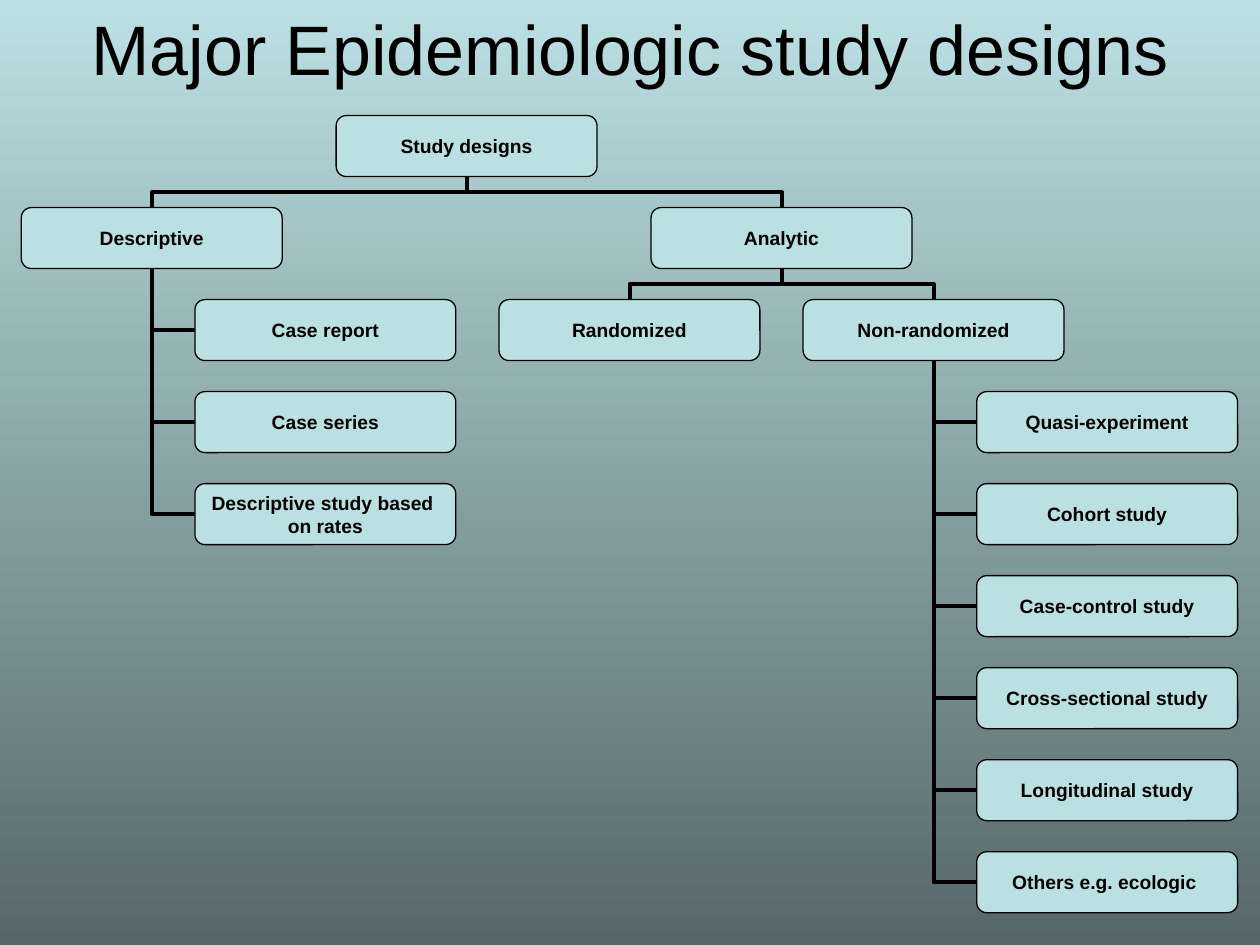
from dataclasses import dataclass

from lxml.etree import SubElement
from pptx import Presentation
from pptx.dml.color import RGBColor
from pptx.enum.shapes import MSO_CONNECTOR, MSO_SHAPE
from pptx.enum.text import MSO_ANCHOR, MSO_AUTO_SIZE, PP_ALIGN
from pptx.oxml.ns import qn
from pptx.util import Cm, Pt

TITLE = "Major Epidemiologic study designs"
TREE = ("Study designs", "fork", [
    ("Descriptive", "hang", [
        ("Case report", "leaf", []),
        ("Case series", "leaf", []),
        ("Descriptive study based \non rates", "leaf", []),
    ]),
    ("Analytic", "fork", [
        ("Randomized", "leaf", []),
        ("Non-randomized", "hang", [
            ("Quasi-experiment", "leaf", []),
            ("Cohort study", "leaf", []),
            ("Case-control study", "leaf", []),
            ("Cross-sectional study", "leaf", []),
            ("Longitudinal study", "leaf", []),
            ("Others e.g. ecologic ", "leaf", []),
        ]),
    ]),
])


@dataclass(frozen=True)
class Theme:
    font: str = "Arial"
    ink: RGBColor = RGBColor.from_string("000000")
    light: RGBColor = RGBColor.from_string("BBE0E3")
    dark: RGBColor = RGBColor.from_string("576869")
    head: Pt = Pt(40)
    label: Pt = Pt(11)
    edge: Pt = Pt(0.75)
    link: Pt = Pt(2.25)


THEME = Theme()
LEFT, TOP = 0.43, 2.33
WIDE, HIGH = 5.26, 1.23
STEP, GAP, INDENT = 1.855, 0.87, 3.5


def place(node, left, row, boxes, links):
    text, mode, kids = node
    right = left + WIDE
    spots = []
    for i, kid in enumerate(kids):
        if mode == "hang":
            spot, edge = place(kid, left + INDENT, row + 1 + i, boxes, links)
            right = max(right, edge)
        else:
            start = right + GAP if i else left
            spot, right = place(kid, start, row + 1, boxes, links)
        spots.append(spot)
    x = (spots[0][0] + spots[-1][0]) / 2 if mode == "fork" else left
    own = (x, TOP + row * STEP)
    boxes.append((text, own))
    links.extend((mode, own, spot) for spot in spots)
    return own, right


def bend(group, start, end, turn, preset):
    line = group.shapes.add_connector(
        MSO_CONNECTOR.ELBOW, *[Cm(v) for v in (*start, *end)])
    line.line.color.rgb = THEME.ink
    line.line.width = THEME.link
    props = line._element.spPr
    props.find(qn("a:xfrm")).set("rot", str(turn * 60000))
    props.find(qn("a:prstGeom")).set("prst", preset)
    SubElement(props, qn("a:effectLst"))


def join(group, mode, parent, child):
    x, y = parent[0] + WIDE / 2, parent[1] + HIGH
    if mode == "hang":
        bend(group, (x, y), (child[0], child[1] + HIGH / 2), 180, "bentConnector2")
        return
    span, drop = abs(child[0] - parent[0]), child[1] - y
    mid_x, mid_y = (x + child[0] + WIDE / 2) / 2, (y + child[1]) / 2
    side = 1 if child[0] < parent[0] else -1
    start = (mid_x + side * drop / 2, mid_y + span / 2)
    end = (mid_x - side * drop / 2, mid_y - span / 2)
    bend(group, start, end, 90 if side > 0 else 270, "bentConnector3")


def write(para, text, size, bold):
    para.alignment = PP_ALIGN.CENTER
    run = para.add_run()
    run.text = text
    run.font.name, run.font.size, run.font.bold = THEME.font, size, bold
    run.font.color.rgb = THEME.ink


def draw_box(group, text, spot):
    box = group.shapes.add_shape(
        MSO_SHAPE.ROUNDED_RECTANGLE, *[Cm(v) for v in (*spot, WIDE, HIGH)])
    box.shadow.inherit = False
    box.fill.solid()
    box.fill.fore_color.rgb = THEME.light
    box.line.color.rgb = THEME.ink
    box.line.width = THEME.edge
    frame = box.text_frame
    frame.margin_left = frame.margin_right = 0
    frame.margin_top = frame.margin_bottom = 0
    frame.word_wrap = False
    frame.vertical_anchor = MSO_ANCHOR.MIDDLE
    for i, part in enumerate(text.split("\n")):
        para = frame.add_paragraph() if i else frame.paragraphs[0]
        write(para, part, THEME.label, True)


def main():
    deck = Presentation()
    deck.slide_width, deck.slide_height = Cm(25.4), Cm(19.05)
    slide = deck.slides.add_slide(deck.slide_layouts[5])

    fill = slide.background.fill
    fill.gradient()
    fill.gradient_angle = 270
    for stop, color in zip(fill.gradient_stops, (THEME.light, THEME.dark)):
        stop.color.rgb = color

    title = slide.shapes.title
    title.left, title.top, title.width, title.height = (
        Cm(v) for v in (1.27, 0.43, 22.86, 1.07))
    frame = title.text_frame
    frame.auto_size = MSO_AUTO_SIZE.NONE
    frame.vertical_anchor = MSO_ANCHOR.MIDDLE
    write(frame.paragraphs[0], TITLE, THEME.head, False)

    boxes, links = [], []
    place(TREE, LEFT, 0, boxes, links)
    group = slide.shapes.add_group_shape()
    for link in links:
        join(group, *link)
    for text, spot in boxes:
        draw_box(group, text, spot)

    deck.save("out.pptx")


if __name__ == "__main__":
    main()
